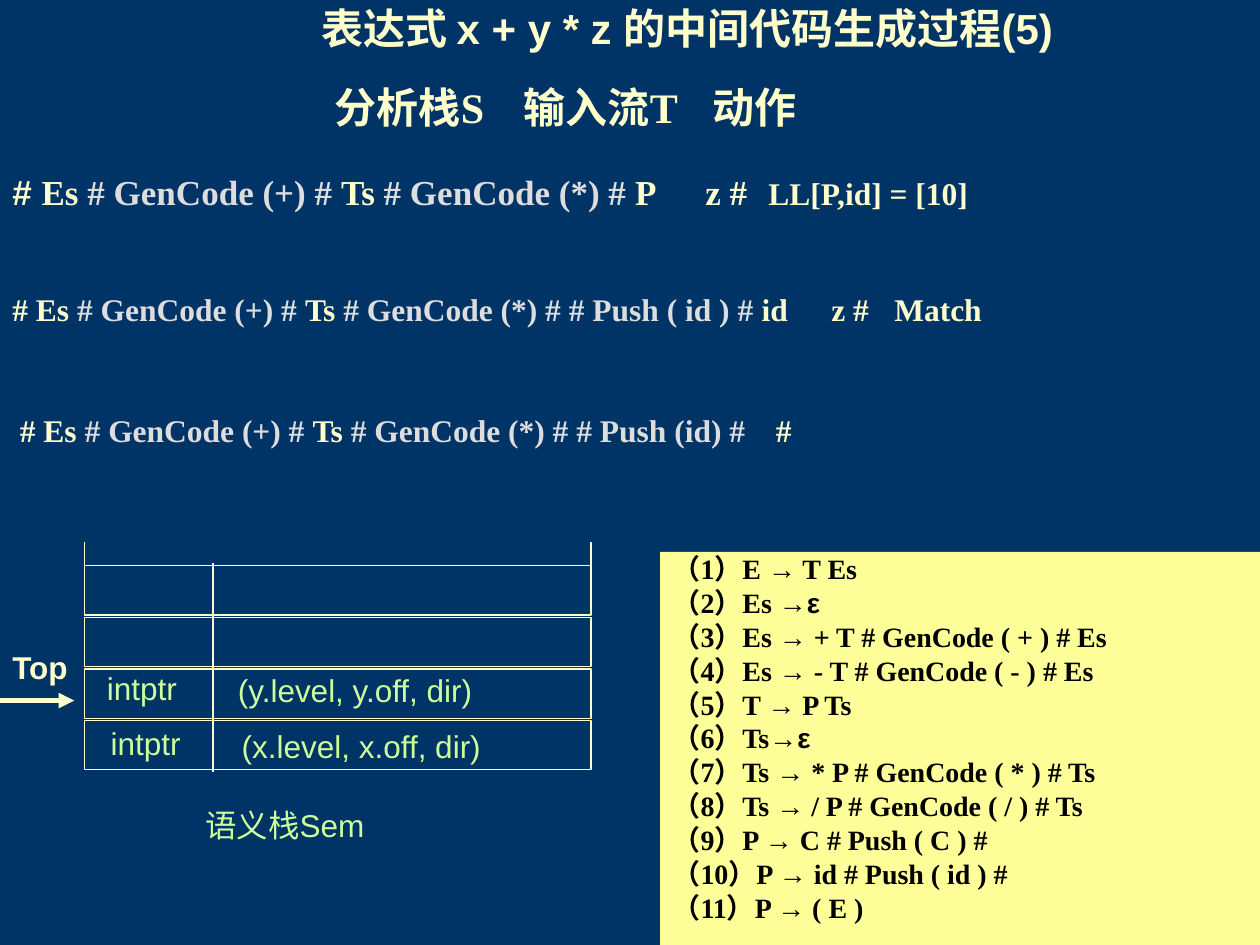
from lxml import etree
from pptx import Presentation
from pptx.dml.color import RGBColor
from pptx.enum.shapes import MSO_CONNECTOR, MSO_SHAPE
from pptx.enum.text import MSO_ANCHOR, PP_ALIGN
from pptx.oxml.ns import qn
from pptx.util import Inches, Pt

RECT, LINE = MSO_SHAPE.RECTANGLE, MSO_CONNECTOR.STRAIGHT
TOP, LEFT = MSO_ANCHOR.TOP, PP_ALIGN.LEFT
SANS, SERIF = "Arial", "Times New Roman"
NAVY, CREAM, GREY = "003366", "FFFFCC", "DDDDDD"
GREEN, YELLOW, BLACK = "CCFF99", "FFFF99", "000000"

# Shared start of every analysis stack
STACK = [("Es ", CREAM), ("# GenCode (+) # ", GREY), ("Ts", CREAM),
         (" # GenCode (*) #", GREY)]
# Stack end, (input, action), tab stops, stack size, input size, space before, indent
TRACE = [
    ([(" P", CREAM)], ("z #", "LL[P,id] = [10]"), (6.6, 7.76), 20, 20, 0, 0),
    ([(" # Push ( id ) # ", GREY), ("id", CREAM)], ("z #", "Match"),
     (6.6, 8.01), 18, 18, 50, 0),
    ([(" # Push (id) #", GREY)], ("#",), (6.74,), 18, 18, 53, 0.06),
]
RULES = [
    ("E ", " T Es"), ("Es ", "ε"), ("Es ", " + T # GenCode ( + ) # Es"),
    ("Es ", " - T # GenCode ( - ) # Es"), ("T ", " P Ts"), ("Ts", "ε"),
    ("Ts ", " * P # GenCode ( * ) # Ts"), ("Ts ", " / P # GenCode ( / ) # Ts"),
    ("P ", " C # Push ( C ) #"), ("P ", " id # Push ( id ) #"), ("P ", " ( E )"),
]


def rgb(color):
    return RGBColor.from_string(color)


def add_run(p, text, size, color, font=SERIF, bold=True):
    r = p.add_run()
    r.text = text
    r.font.size, r.font.name, r.font.bold = Pt(size), font, bold
    r.font.color.rgb = rgb(color)


def set_layout(p, tabs=(), indent=0, hanging=0):
    ppr = p._p.get_or_add_pPr()
    ppr.set("marL", str(Inches(indent)))
    ppr.set("indent", str(-Inches(hanging)))
    if tabs:
        tab_list = etree.SubElement(ppr, qn("a:tabLst"))
        for pos in tabs:
            etree.SubElement(tab_list, qn("a:tab"), pos=str(Inches(pos)), algn="l")


def add_box(s, x, y, w, h, wrap=True):
    tf = s.shapes.add_textbox(Inches(x), Inches(y), Inches(w), Inches(h)).text_frame
    tf.word_wrap = wrap
    return tf


def add_label(s, x, y, w, text, color=GREEN, bold=False):
    add_run(add_box(s, x, y, w, 0.4).paragraphs[0], text, 18, color, SANS, bold)


def add_line(shapes, x1, y1, x2, y2, width=0.75):
    line = shapes.add_connector(LINE, Inches(x1), Inches(y1), Inches(x2), Inches(y2))
    line.line.color.rgb = rgb(CREAM)
    line.line.width = Pt(width)
    etree.SubElement(line._element.spPr, qn("a:effectLst"))
    return line


def add_headings(s):
    p = add_box(s, 2.45, 0.05, 6.25, 0.42, wrap=False).paragraphs[0]
    p.line_spacing = 0.8
    add_run(p, "表达式 x + y * z 的中间代码生成过程(5)", 24, CREAM, SANS)

    p = add_box(s, 2.56, 0.6, 7.44, 0.5).paragraphs[0]
    set_layout(p, tabs=(4.18, 6.22))
    add_run(p, "分析栈S\t输入流T\t动作", 24, CREAM)


def add_trace(s, x, y, w, h):
    tf = add_box(s, x, y, w, h)
    for i, (end, cells, tabs, size, input_size, gap, indent) in enumerate(TRACE):
        p = tf.add_paragraph() if i else tf.paragraphs[0]
        set_layout(p, tabs, indent)
        p.line_spacing = 0.75
        if gap:
            p.space_before = Pt(gap)
        add_run(p, "# ", size, CREAM, SERIF if i else SANS)
        for text, color in STACK + end:
            add_run(p, text, size, color)
        for text, cell_size in zip(cells, (input_size, 18)):
            add_run(p, "\t" + text, cell_size, CREAM)


def add_semantic_stack(s, x, y, w, h):
    group = s.shapes.add_group_shape()
    pitch = 0.41
    first = y + 0.19
    # Stack cells, open at the top
    for row in range(4):
        cell = group.shapes.add_shape(RECT, Inches(x), Inches(first + row * pitch),
                                      Inches(w), Inches(0.39))
        cell.shadow.inherit = False
        cell.fill.background()
        cell.line.color.rgb = rgb(CREAM)
        cell.line.width = Pt(0.75)
    for side in (x, x + w):
        add_line(group.shapes, side, y + 0.24, side, y)
    add_line(group.shapes, x + 1.02, y + 0.17, x + 1.02, y + h)

    # Entries and caption
    for dx, dy, name in ((0.08, 0.96, "y"), (0.11, 1.4, "x")):
        add_label(s, x + dx, y + dy, 1.64, "intptr")
        add_label(s, x + dx + 1.04, y + dy + 0.02, 2.84,
                  f"({name}.level, {name}.off, dir)")
    add_label(s, x + 0.86, y + 2.05, 1.64, "语义栈Sem")

    # Pointer to the top entry
    add_label(s, 0, y + 0.79, 0.66, "Top", CREAM, True)
    arrow = add_line(s.shapes, 0, y + 1.26, x - 0.08, y + 1.26, 3)
    etree.SubElement(arrow.line._get_or_add_ln(), qn("a:tailEnd"), type="triangle")


def add_grammar(s, x, y, w, h):
    sp = s.shapes.add_shape(RECT, Inches(x), Inches(y), Inches(w), Inches(h))
    sp.shadow.inherit = False
    sp.fill.solid()
    sp.fill.fore_color.rgb = rgb(YELLOW)
    sp.line.fill.background()
    tf = sp.text_frame
    tf.vertical_anchor = TOP
    for i, (head, body) in enumerate(RULES):
        p = tf.add_paragraph() if i else tf.paragraphs[0]
        set_layout(p, indent=0.38, hanging=0.38)
        p.alignment = LEFT
        p.line_spacing = 0.8
        if i:
            p.space_before = Pt(4)
        add_run(p, f"（{i + 1}）{head}", 16, BLACK)
        add_run(p, "→", 16, BLACK, SANS, False)
        add_run(p, body, 16, BLACK, SANS if body == "ε" else SERIF)


def main():
    prs = Presentation()
    prs.slide_width, prs.slide_height = Inches(10), Inches(7.5)
    s = prs.slides.add_slide(prs.slide_layouts[6])
    s.background.fill.solid()
    s.background.fill.fore_color.rgb = rgb(NAVY)
    add_headings(s)
    add_trace(s, 0, 1.38, 9.73, 2.7)
    add_semantic_stack(s, 0.67, 4.3, 4.02, 1.83)
    add_grammar(s, 5.24, 4.38, 4.76, 3.12)
    prs.save("out.pptx")


if __name__ == "__main__":
    main()
